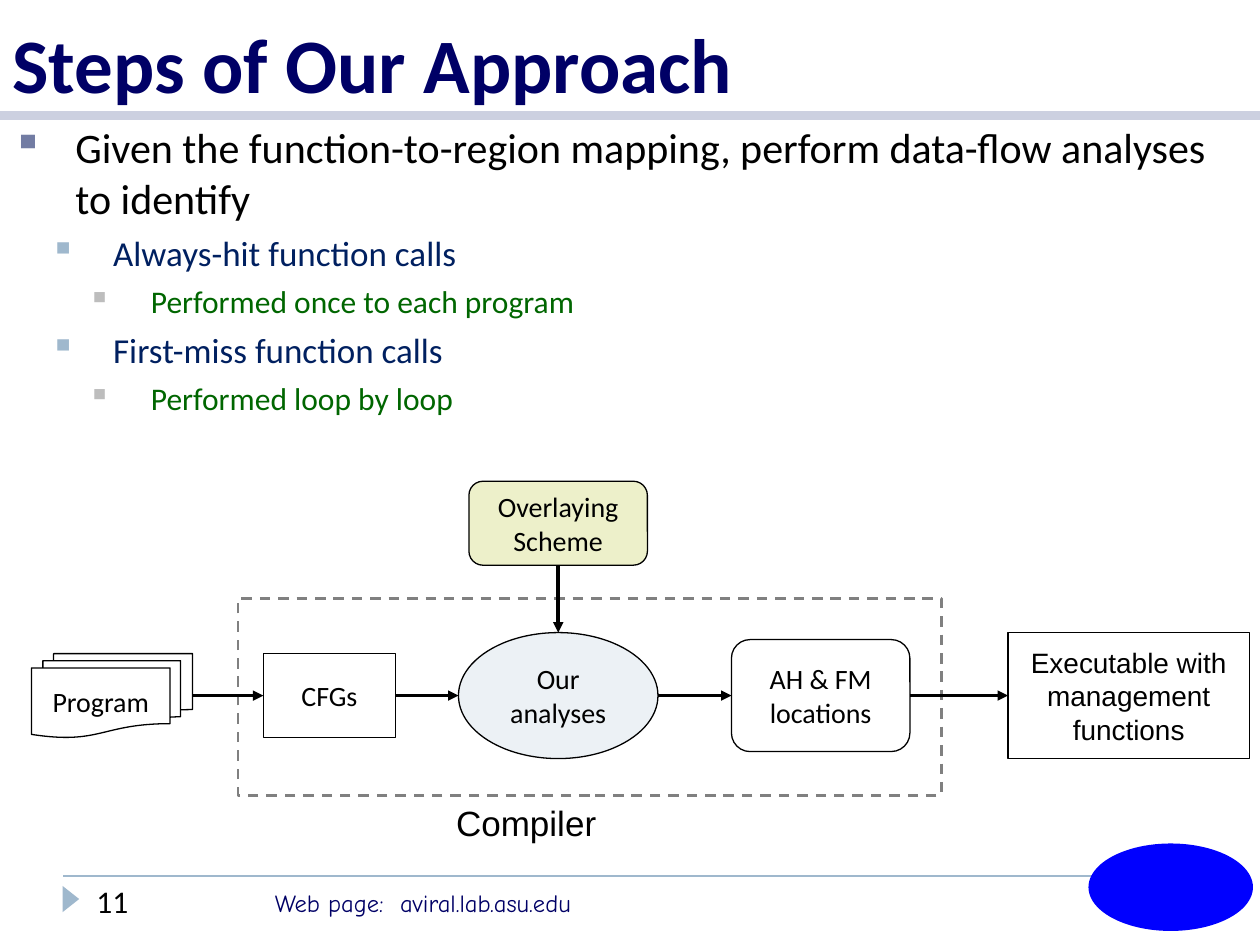
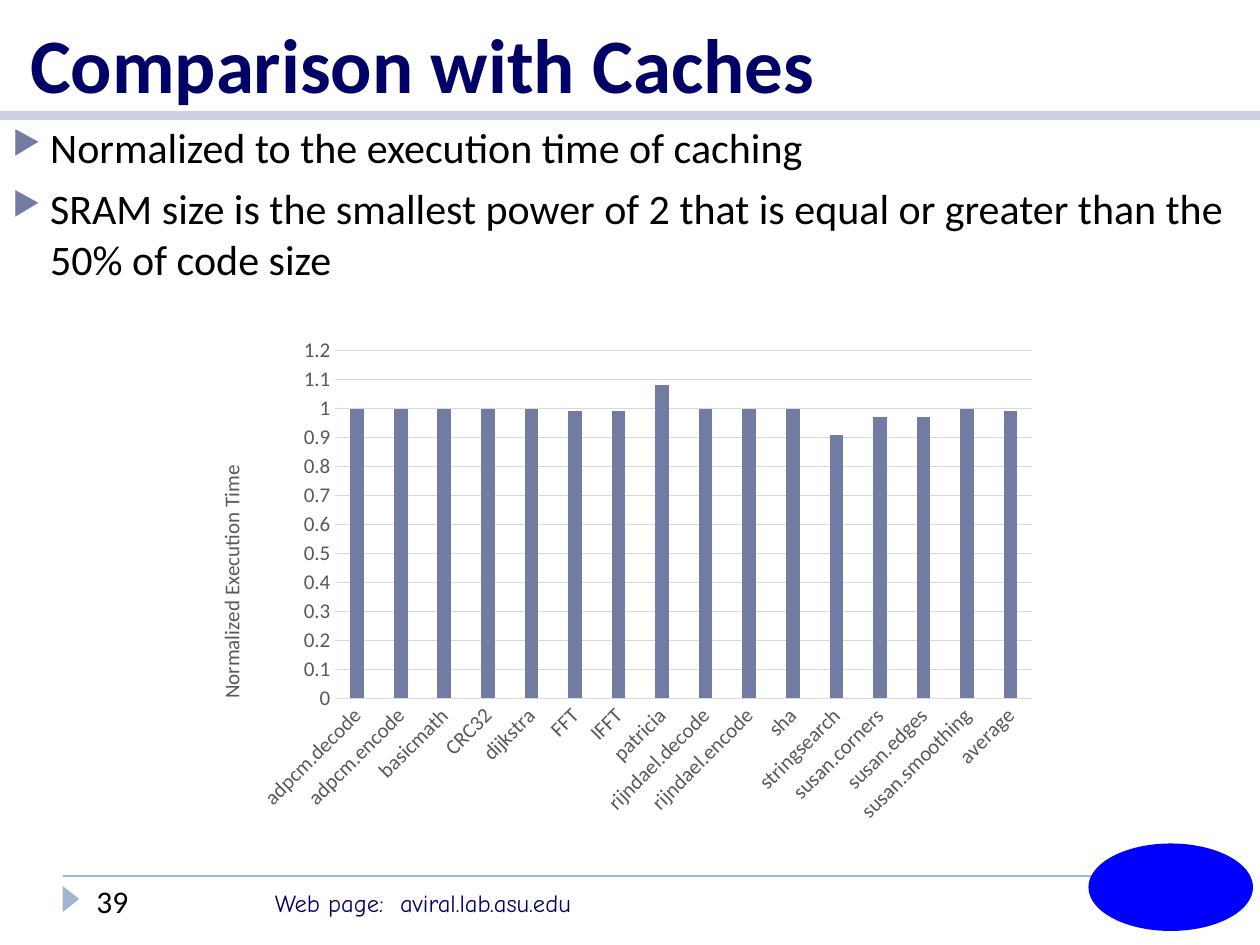
"""Build two slides: the steps of a code analysis approach and a comparison with caches."""
from dataclasses import dataclass

from lxml import etree
from pptx import Presentation
from pptx.chart.data import CategoryChartData
from pptx.dml.color import RGBColor
from pptx.enum.chart import XL_CHART_TYPE, XL_TICK_MARK
from pptx.enum.dml import MSO_LINE
from pptx.enum.shapes import MSO_CONNECTOR, MSO_SHAPE
from pptx.enum.text import MSO_ANCHOR, MSO_AUTO_SIZE, PP_ALIGN
from pptx.oxml.ns import qn
from pptx.util import Pt

RECT, ROUND, OVAL = MSO_SHAPE.RECTANGLE, MSO_SHAPE.ROUNDED_RECTANGLE, MSO_SHAPE.OVAL
DOCS, TRIANGLE = MSO_SHAPE.FLOWCHART_MULTIDOCUMENT, MSO_SHAPE.ISOSCELES_TRIANGLE
STRAIGHT, DASH = MSO_CONNECTOR.STRAIGHT, MSO_LINE.DASH
LEFT, CENTER = PP_ALIGN.LEFT, PP_ALIGN.CENTER
MIDDLE, BOTTOM = MSO_ANCHOR.MIDDLE, MSO_ANCHOR.BOTTOM
NO_AUTOSIZE, NO_TICK = MSO_AUTO_SIZE.NONE, XL_TICK_MARK.NONE
COLUMNS = XL_CHART_TYPE.COLUMN_CLUSTERED
TOP_SIDE, LEFT_SIDE, BOTTOM_SIDE, RIGHT_SIDE = range(4)


@dataclass(frozen=True)
class Theme:
    """Colours, fonts and type sizes of the deck."""
    navy: str = "000066"
    black: str = "000000"
    white: str = "FFFFFF"
    band: str = "CCD0E0"
    accent: str = "727CA3"
    sky: str = "9FB8CD"
    silver: str = "BDBDBD"
    deep_blue: str = "002060"
    green: str = "006600"
    badge: str = "0000FF"
    scheme: str = "EDF0CA"
    analysis: str = "ECF1F5"
    dashed: str = "808080"
    axis: str = "595959"
    grid: str = "D9D9D9"
    body_font: str = "Calibri"
    plain_font: str = "Arial"
    web_font: str = "Comic Neue"
    title_size: int = 44
    body_sizes: tuple = (24, 20, 18)
    number_size: int = 18
    label_size: int = 20
    web_size: int = 14
    node_size: int = 16
    chart_size: int = 12


T = Theme()


def write(p, text, size, color=T.black, name=T.body_font, bold=False):
    """Add one formatted run to a paragraph."""
    r = p.add_run()
    r.text = text
    for key, value in dict(size=Pt(size), name=name, bold=bold).items():
        setattr(r.font, key, value)
    r.font.color.rgb = RGBColor.from_string(color)


def draw(s, kind, box, fill=None, line=None, width=0.75):
    """Add a shape, or a connector from point to point, without a shadow."""
    if kind is STRAIGHT:
        sp = s.shapes.add_connector(kind, *map(Pt, box))
        etree.SubElement(sp._element.spPr, qn("a:effectLst"))
    else:
        sp = s.shapes.add_shape(kind, *map(Pt, box))
        sp.shadow.inherit = False
        if fill:
            sp.fill.solid()
            sp.fill.fore_color.rgb = RGBColor.from_string(fill)
        else:
            sp.fill.background()
    if line:
        sp.line.color.rgb = RGBColor.from_string(line)
        sp.line.width = Pt(width)
    else:
        sp.line.fill.background()
    return sp


prs = Presentation()
prs.slide_width, prs.slide_height = Pt(720), Pt(540)

square_levels = [(T.black, T.accent, 36, 36, 6), (T.deep_blue, T.sky, 57.6, 36, 5),
                 (T.green, T.silver, 79.2, 36, 5)]
arrow_levels = [(T.black, T.accent, 21.6, 21.6, 6)]
pages = [
    ("Steps of Our Approach", 0, "11", 210, "▪", 100, square_levels, [
        (0, "Given the function-to-region mapping, perform data-flow analyses to identify"),
        (1, "Always-hit function calls"),
        (2, "Performed once to each program"),
        (1, "First-miss function calls"),
        (2, "Performed loop by loop")]),
    ("Comparison with Caches", 10, "39", 84, "▶", 76, arrow_levels, [
        (0, "Normalized to the execution time of caching"),
        (0, "SRAM size is the smallest power of 2 that is equal or greater than the 50% of code size")]),
]

for title, title_shift, number, body_height, bullet, bullet_size, levels, items in pages:
    s = prs.slides.add_slide(prs.slide_layouts[5])
    draw(s, STRAIGHT, (36, 500.5, 624, 500.5), line=T.sky, width=1)
    draw(s, STRAIGHT, (0, 66, 720, 66), line=T.band, width=5)
    draw(s, TRIANGLE, (33, 509, 15, 9.5), T.sky).rotation = 90
    draw(s, OVAL, (622, 482, 94, 50), T.badge)

    sp = s.shapes.title
    sp.left, sp.top, sp.width, sp.height = Pt(0), Pt(0), Pt(720), Pt(66)
    tf = sp.text_frame
    frame = dict(word_wrap=True, auto_size=NO_AUTOSIZE, vertical_anchor=BOTTOM,
                 margin_left=Pt(7.2 + title_shift))
    for key, value in frame.items():
        setattr(tf, key, value)
    p = tf.paragraphs[0]
    p.alignment = LEFT
    write(p, title, T.title_size, T.navy, bold=True)

    footers = [((150, 504, 270, 24.5), "Web page:\taviral.lab.asu.edu", T.web_size, T.navy, T.web_font),
               ((48, 500.5, 101.5, 29), number, T.number_size, T.black, T.body_font)]
    for box, text, size, color, font in footers:
        tf = s.shapes.add_textbox(*map(Pt, box)).text_frame
        tf.word_wrap = True
        p = tf.paragraphs[0]
        if "\t" in text:
            tabs = etree.SubElement(p._p.get_or_add_pPr(), qn("a:tabLst"))
            etree.SubElement(tabs, qn("a:tab"), pos=str(Pt(71.5)), algn="l")
        write(p, text, size, color, font)

    tf = s.shapes.add_textbox(Pt(0), Pt(66), Pt(720), Pt(body_height)).text_frame
    tf.word_wrap = True
    for i, (level, text) in enumerate(items):
        color, bullet_color, indent, hang, gap = levels[level]
        p = tf.paragraphs[0] if i == 0 else tf.add_paragraph()
        p.level = level
        pPr = p._p.get_or_add_pPr()
        pPr.set("marL", str(Pt(indent)))
        pPr.set("indent", str(-Pt(hang)))
        etree.SubElement(etree.SubElement(pPr, qn("a:buClr")), qn("a:srgbClr"), val=bullet_color)
        etree.SubElement(pPr, qn("a:buSzPct"), val=str(bullet_size * 1000))
        etree.SubElement(pPr, qn("a:buChar"), char=bullet)
        if i:
            p.space_before = Pt(gap)
        write(p, text, T.body_sizes[level], color)

steps, comparison = prs.slides

compiler = draw(steps, RECT, (136, 342, 402, 112.5), line=T.dashed, width=1.5)
compiler.line.dash_style = DASH
tf = steps.shapes.add_textbox(Pt(253.5), Pt(454.5), Pt(104.5), Pt(31.5)).text_frame
tf.word_wrap = True
write(tf.paragraphs[0], "Compiler", T.label_size, name=T.plain_font)

row, scheme_row = 397.5, 299
nodes = [
    ("scheme", ROUND, 268, scheme_row, 102, 48, T.scheme, "Overlaying Scheme", T.body_font),
    ("program", DOCS, 18, row, 92, 48, T.white, "Program", T.body_font),
    ("cfgs", RECT, 150.5, row, 75.5, 48, T.white, "CFGs", T.body_font),
    ("analyses", OVAL, 262, row, 114, 72, T.analysis, "Our analyses", T.body_font),
    ("locations", ROUND, 418, row, 102, 64, T.white, "AH & FM locations", T.body_font),
    ("executable", RECT, 576, row, 138, 72, T.white, "Executable with management functions",
     T.plain_font),
]
shapes = {}
for key, kind, left, mid, width, height, fill, text, font in nodes:
    sp = shapes[key] = draw(steps, kind, (left, mid - height / 2, width, height), fill, T.black)
    tf = sp.text_frame
    tf.word_wrap = True
    tf.vertical_anchor = MIDDLE
    p = tf.paragraphs[0]
    p.alignment = CENTER
    write(p, text, T.node_size, name=font)

flows = [("program", "cfgs"), ("cfgs", "analyses"), ("analyses", "locations"),
         ("locations", "executable"), ("scheme", "analyses")]
for start, end in flows:
    a, b = shapes[start], shapes[end]
    down = start == "scheme"
    if down:
        x = (a.left + a.width / 2) / Pt(1)
        points = (x, (a.top + a.height) / Pt(1), x, b.top / Pt(1))
    else:
        points = ((a.left + a.width) / Pt(1), row, b.left / Pt(1), row)
    c = draw(steps, STRAIGHT, points, line=T.black, width=2 if down else 1.5)
    if a.auto_shape_type in (RECT, ROUND):
        c.begin_connect(a, BOTTOM_SIDE if down else RIGHT_SIDE)
    if b.auto_shape_type in (RECT, ROUND):
        c.end_connect(b, TOP_SIDE if down else LEFT_SIDE)
    etree.SubElement(c.line._get_or_add_ln(), qn("a:tailEnd"), type="triangle")

results = {
    "adpcm.decode": 1, "adpcm.encode": 1, "basicmath": 1, "CRC32": 1, "dijkstra": 1,
    "FFT": 0.99, "IFFT": 0.99, "patricia": 1.08, "rijndael.decode": 1, "rijndael.encode": 1,
    "sha": 1, "stringsearch": 0.91, "susan.corners": 0.97, "susan.edges": 0.97,
    "susan.smoothing": 1, "average": 0.99,
}
data = CategoryChartData()
data.categories = list(results)
data.add_series("Series 1", list(results.values()))
chart = comparison.shapes.add_chart(COLUMNS, Pt(102), Pt(186), Pt(498), Pt(288), data).chart
chart.has_legend = chart.has_title = False
chart.font.name, chart.font.size = T.body_font, Pt(T.chart_size)
chart.font.color.rgb = RGBColor.from_string(T.axis)
plot = chart.plots[0]
plot.gap_width, plot.overlap, plot.vary_by_categories = 219, -27, False
fill = plot.series[0].format.fill
fill.solid()
fill.fore_color.rgb = RGBColor.from_string(T.accent)

cat, val = chart.category_axis, chart.value_axis
for axis in (cat, val):
    axis.major_tick_mark = axis.minor_tick_mark = NO_TICK
    font = axis.tick_labels.font
    font.name, font.size = T.body_font, Pt(T.chart_size)
    font.color.rgb = RGBColor.from_string(T.axis)
cat._element.find(qn("c:txPr")).find(qn("a:bodyPr")).set("rot", "-2700000")
val.minimum_scale, val.maximum_scale, val.major_unit = 0, 1.2, 0.1
val.format.line.fill.background()
for line in (cat.format.line, val.major_gridlines.format.line):
    line.color.rgb = RGBColor.from_string(T.grid)
    line.width = Pt(0.75)
write(val.axis_title.text_frame.paragraphs[0], "Normalized Execution Time", T.chart_size, T.axis)

areas = [(chart._chartSpace.chart.plotArea, 0, dict(x=0.18, y=0.05, w=0.8, h=0.69)),
         (val.axis_title._element, 1, dict(x=0.04, y=0.27))]
for area, position, place in areas:
    for old in area.findall(qn("c:layout")):
        area.remove(old)
    layout = etree.Element(qn("c:layout"))
    area.insert(position, layout)
    manual = etree.SubElement(layout, qn("c:manualLayout"))
    if "w" in place:
        etree.SubElement(manual, qn("c:layoutTarget"), val="inner")
    for key in "xy":
        etree.SubElement(manual, qn(f"c:{key}Mode"), val="edge")
    for key, value in place.items():
        etree.SubElement(manual, qn(f"c:{key}"), val=str(value))

prs.save("out.pptx")
